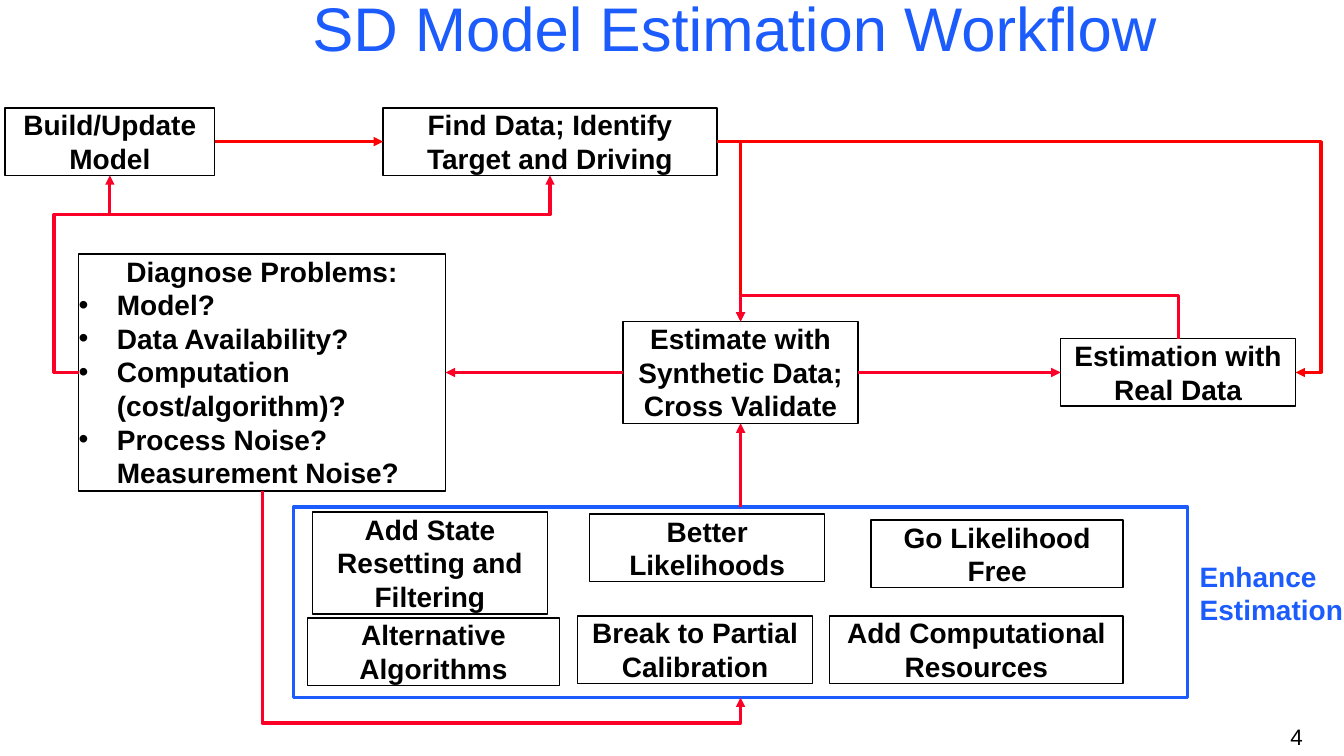
from dataclasses import dataclass

from lxml import etree
from pptx import Presentation
from pptx import util as u
from pptx.dml.color import RGBColor
from pptx.enum import shapes, text
from pptx.oxml import ns

PX = 9144  # EMU per px, 100 px to the inch
BLACK = RGBColor(0x00, 0x00, 0x00)
BLUE = RGBColor(0x1C, 0x5C, 0xFC)
RED = RGBColor(0xFF, 0x00, 0x00)
CRIMSON = RGBColor(0xFC, 0x01, 0x28)
TOP, LEFT, BOTTOM, RIGHT = range(4)  # connection sites of a rectangle
BULLET_INDENT = 38


@dataclass(frozen=True)
class Box:
    key: str
    left: int
    top: int
    width: int
    height: int
    heading: str = ""
    bullets: tuple[str, ...] = ()
    colour: RGBColor = BLACK
    weight: float = 1


@dataclass(frozen=True)
class Flow:
    start: str
    start_site: int
    end: str
    end_site: int
    colour: RGBColor = CRIMSON
    preset: str = ""  # empty for a straight arrow
    bends: tuple[float, ...] = ()  # bend positions as shares of the span


BOXES = [
    Box("find", 380, 107, 331, 67, "Find Data; Identify Target and Driving"),
    Box("synthetic", 618, 319, 233, 101, "Estimate with Synthetic Data; Cross Validate"),
    Box("diagnose", 78, 252, 364, 235, "Diagnose Problems:",
        ("Model?", "Data Availability?", "Computation (cost/algorithm)?",
         "Process Noise? Measurement Noise?")),
    Box("real", 1052, 336, 233, 67, "Estimation with Real Data"),
    Box("build", 5, 107, 208, 67, "Build/Update Model"),
    Box("likelihoods", 585, 510, 233, 67, "Better Likelihoods"),
    Box("free", 864, 516, 250, 67, "Go Likelihood Free"),
    Box("filtering", 310, 508, 233, 101, "Add State Resetting and Filtering"),
    Box("enhance", 291, 503, 887, 189, colour=BLUE, weight=2.25),
    Box("algorithms", 305, 613, 250, 67, "Alternative Algorithms"),
    Box("resources", 823, 611, 291, 67, "Add Computational Resources"),
    Box("calibration", 573, 611, 233, 67, "Break to Partial Calibration"),
]

FLOWS = [
    Flow("diagnose", LEFT, "find", BOTTOM, CRIMSON, "bentConnector4", (-0.053, 0.801)),
    Flow("build", RIGHT, "find", LEFT, RED),
    Flow("find", RIGHT, "synthetic", TOP, RED, "bentConnector2"),
    Flow("synthetic", LEFT, "diagnose", RIGHT),
    Flow("diagnose", BOTTOM, "enhance", BOTTOM, CRIMSON, "bentConnector3", (1.123,)),
    Flow("enhance", TOP, "synthetic", BOTTOM),
    Flow("synthetic", RIGHT, "real", LEFT),
    Flow("diagnose", LEFT, "build", BOTTOM, CRIMSON, "bentConnector4", (-0.79, 0.801)),
    Flow("real", TOP, "synthetic", TOP, CRIMSON, "bentConnector3", (2.5,)),
    Flow("find", RIGHT, "real", RIGHT, RED, "bentConnector3", (1.044,)),
]


def px(*lengths: int) -> list[u.Emu]:
    return [u.Emu(length * PX) for length in lengths]


def add_run(paragraph, words: str, size: int, colour: RGBColor, bold: bool = False) -> None:
    run = paragraph.add_run()
    run.text = words
    run.font.name = "Arial"
    run.font.size = u.Pt(size)
    run.font.bold = bold
    run.font.color.rgb = colour


def make_bullet(paragraph) -> None:
    properties = paragraph._p.get_or_add_pPr()
    properties.set("marL", str(BULLET_INDENT * PX))
    properties.set("indent", str(-BULLET_INDENT * PX))
    etree.SubElement(properties, ns.qn("a:buFont")).set("typeface", "Arial")
    etree.SubElement(properties, ns.qn("a:buChar")).set("char", "•")


def draw_box(slide, box: Box):
    rect = slide.shapes.add_shape(
        shapes.MSO_SHAPE.RECTANGLE, *px(box.left, box.top, box.width, box.height))
    rect.shadow.inherit = False
    rect.fill.background()
    rect.line.color.rgb = box.colour
    rect.line.width = u.Pt(box.weight)
    if not box.heading:
        return rect
    frame = rect.text_frame
    frame.margin_left = frame.margin_right = frame.margin_top = frame.margin_bottom = 0
    frame.vertical_anchor = text.MSO_ANCHOR.TOP
    frame.word_wrap = True
    frame.auto_size = text.MSO_AUTO_SIZE.SHAPE_TO_FIT_TEXT
    heading = frame.paragraphs[0]
    heading.alignment = text.PP_ALIGN.CENTER
    add_run(heading, box.heading, 20, BLACK, bold=True)
    for question in box.bullets:
        item = frame.add_paragraph()
        item.alignment = text.PP_ALIGN.LEFT
        make_bullet(item)
        add_run(item, question, 20, BLACK, bold=True)
    return rect


def bend(arrow, flow: Flow) -> None:
    """Set the bends; an arrow leaving upwards or downwards is a turned frame."""
    geometry = arrow._element.spPr.find(ns.qn("a:prstGeom"))
    geometry.set("prst", flow.preset)
    guides = geometry.find(ns.qn("a:avLst"))
    for number, share in enumerate(flow.bends, start=1):
        guide = etree.SubElement(guides, ns.qn("a:gd"))
        guide.set("name", f"adj{number}")
        guide.set("fmla", f"val {round(share * 100000)}")
    if flow.start_site in (TOP, BOTTOM):
        across, down = arrow.end_x - arrow.begin_x, arrow.end_y - arrow.begin_y
        middle_x = (arrow.begin_x + arrow.end_x) // 2
        middle_y = (arrow.begin_y + arrow.end_y) // 2
        arrow.width, arrow.height = abs(down), abs(across)
        arrow.left = middle_x - arrow.width // 2
        arrow.top = middle_y - arrow.height // 2
        frame = arrow._element.spPr.find(ns.qn("a:xfrm"))
        frame.set("rot", str(270 * 60000))
        frame.set("flipH", str(int(down > 0)))
        frame.set("flipV", str(int(across < 0)))


def draw_flow(slide, flow: Flow, rects: dict) -> None:
    kind = shapes.MSO_CONNECTOR.ELBOW if flow.preset else shapes.MSO_CONNECTOR.STRAIGHT
    arrow = slide.shapes.add_connector(kind, 0, 0, 0, 0)
    arrow.begin_connect(rects[flow.start], flow.start_site)
    arrow.end_connect(rects[flow.end], flow.end_site)
    if flow.preset:
        bend(arrow, flow)
    arrow.line.color.rgb = flow.colour
    arrow.line.width = u.Pt(2.25)
    etree.SubElement(arrow.line._get_or_add_ln(), ns.qn("a:tailEnd")).set("type", "triangle")
    etree.SubElement(arrow._element.spPr, ns.qn("a:effectLst"))


def draw_label(slide, place: tuple[int, int, int, int], words: str, size: int,
               colour: RGBColor, bold: bool, wrap: bool) -> None:
    frame = slide.shapes.add_textbox(*px(*place)).text_frame
    frame.word_wrap = wrap
    add_run(frame.paragraphs[0], words, size, colour, bold)


def main() -> None:
    prs = Presentation()
    prs.slide_width, prs.slide_height = px(1333, 750)
    slide = prs.slides.add_slide(prs.slide_layouts[5])

    # Title
    title = slide.shapes.title
    title.left, title.top, title.width, title.height = px(233, -21, 992, 96)
    title.text_frame.vertical_anchor = text.MSO_ANCHOR.MIDDLE
    title.text_frame.paragraphs[0].alignment = text.PP_ALIGN.CENTER
    add_run(title.text_frame.paragraphs[0], "SD Model Estimation Workflow", 44, BLUE)

    # Workflow steps and the arrows between them
    rects = {box.key: draw_box(slide, box) for box in BOXES}
    for flow in FLOWS:
        draw_flow(slide, flow, rects)

    # Label of the blue frame and page number
    draw_label(slide, (1180, 550, 185, 77), "Enhance Estimation", 20, BLUE, True, True)
    draw_label(slide, (1270, 713, 48, 37), "4", 16, BLACK, False, False)

    prs.save("out.pptx")


if __name__ == "__main__":
    main()
